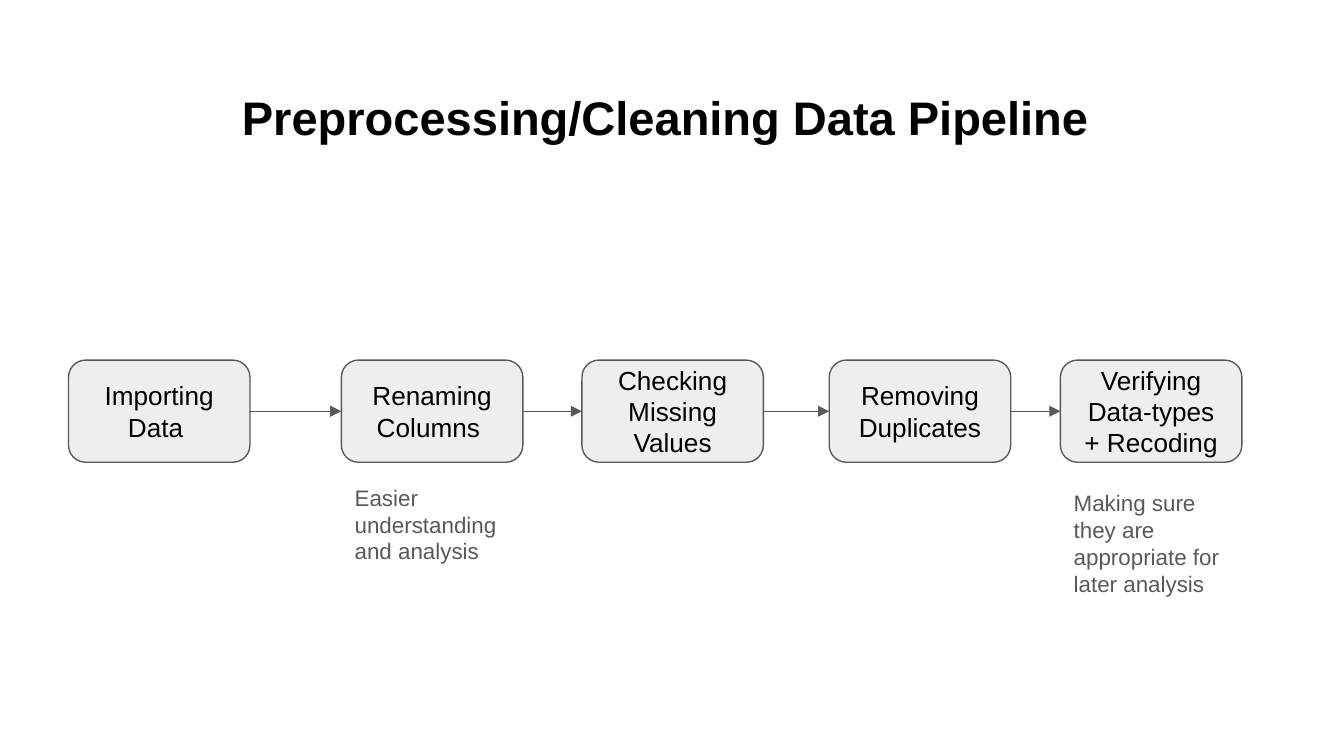
from dataclasses import dataclass

from lxml.etree import SubElement
from pptx import Presentation
from pptx.dml.color import RGBColor
from pptx.enum.shapes import MSO_CONNECTOR, MSO_SHAPE
from pptx.enum.text import MSO_ANCHOR, PP_ALIGN
from pptx.oxml.ns import qn
from pptx.util import Inches, Pt

FONT = "Arial"
BLACK, GRAY, LIGHT = "000000", "595959", "EEEEEE"
STEP_TOP, STEP_WIDTH, STEP_HEIGHT = 2.68, 1.35, 0.76
NOTE_HEIGHT = 0.9


@dataclass
class Step:
    left: float
    label: str
    note: str = ""
    note_top: float = 0


STEPS = [
    Step(0.51, "Importing Data "),
    Step(2.54, "Renaming Columns ", "Easier understanding and analysis", 3.5),
    Step(4.33, "Checking Missing Values"),
    Step(6.17, "Removing Duplicates"),
    Step(7.89, "Verifying Data-types + Recoding",
         "Making sure they are appropriate for later analysis", 3.54),
]


def color(value: str) -> RGBColor:
    return RGBColor.from_string(value)


def write(shape, text: str, *, size: float, fill: str = BLACK, bold: bool = False,
          align=PP_ALIGN.LEFT, anchor=MSO_ANCHOR.TOP) -> None:
    frame = shape.text_frame
    frame.word_wrap = True
    frame.vertical_anchor = anchor
    frame.margin_left = frame.margin_right = Inches(0.1)
    frame.margin_top = frame.margin_bottom = Inches(0.1)
    para = frame.paragraphs[0]
    para.alignment = align
    span = para.add_run()
    span.text = text
    span.font.name = FONT
    span.font.size = Pt(size)
    span.font.bold = bold
    span.font.color.rgb = color(fill)


def add_title(page, text: str) -> None:
    title = page.shapes.title
    title.left, title.top = Inches(1.7), Inches(0.56)
    title.width, title.height = Inches(6.98), Inches(0.63)
    write(title, text, size=25.2, bold=True)


def add_step(page, step: Step):
    """Draw the step's box, with its note below if it has one."""
    box = page.shapes.add_shape(
        MSO_SHAPE.ROUNDED_RECTANGLE, Inches(step.left), Inches(STEP_TOP),
        Inches(STEP_WIDTH), Inches(STEP_HEIGHT))
    box.shadow.inherit = False
    box.fill.solid()
    box.fill.fore_color.rgb = color(LIGHT)
    box.line.color.rgb = color(GRAY)
    box.line.width = Pt(0.75)
    write(box, step.label, size=14, align=PP_ALIGN.CENTER, anchor=MSO_ANCHOR.MIDDLE)
    if step.note:
        note = page.shapes.add_textbox(
            Inches(step.left), Inches(step.note_top),
            Inches(STEP_WIDTH), Inches(NOTE_HEIGHT))
        write(note, step.note, size=12, fill=GRAY)
    return box


def add_arrow(page, source, target) -> None:
    """Join the right side of one box to the left side of the next."""
    arrow = page.shapes.add_connector(MSO_CONNECTOR.STRAIGHT, 0, 0, 0, 0)
    arrow.begin_connect(source, 3)
    arrow.end_connect(target, 1)
    arrow.line.color.rgb = color(GRAY)
    arrow.line.width = Pt(0.75)
    properties = arrow._element.spPr
    SubElement(properties.find(qn("a:ln")), qn("a:tailEnd"), type="triangle")
    SubElement(properties, qn("a:effectLst"))


def main() -> None:
    deck = Presentation()
    deck.slide_width = Inches(10)
    deck.slide_height = deck.slide_width * 9 // 16
    page = deck.slides.add_slide(deck.slide_layouts[5])
    add_title(page, "Preprocessing/Cleaning Data Pipeline")
    boxes = [add_step(page, step) for step in STEPS]
    for source, target in zip(boxes, boxes[1:]):
        add_arrow(page, source, target)
    deck.save("out.pptx")


if __name__ == "__main__":
    main()
